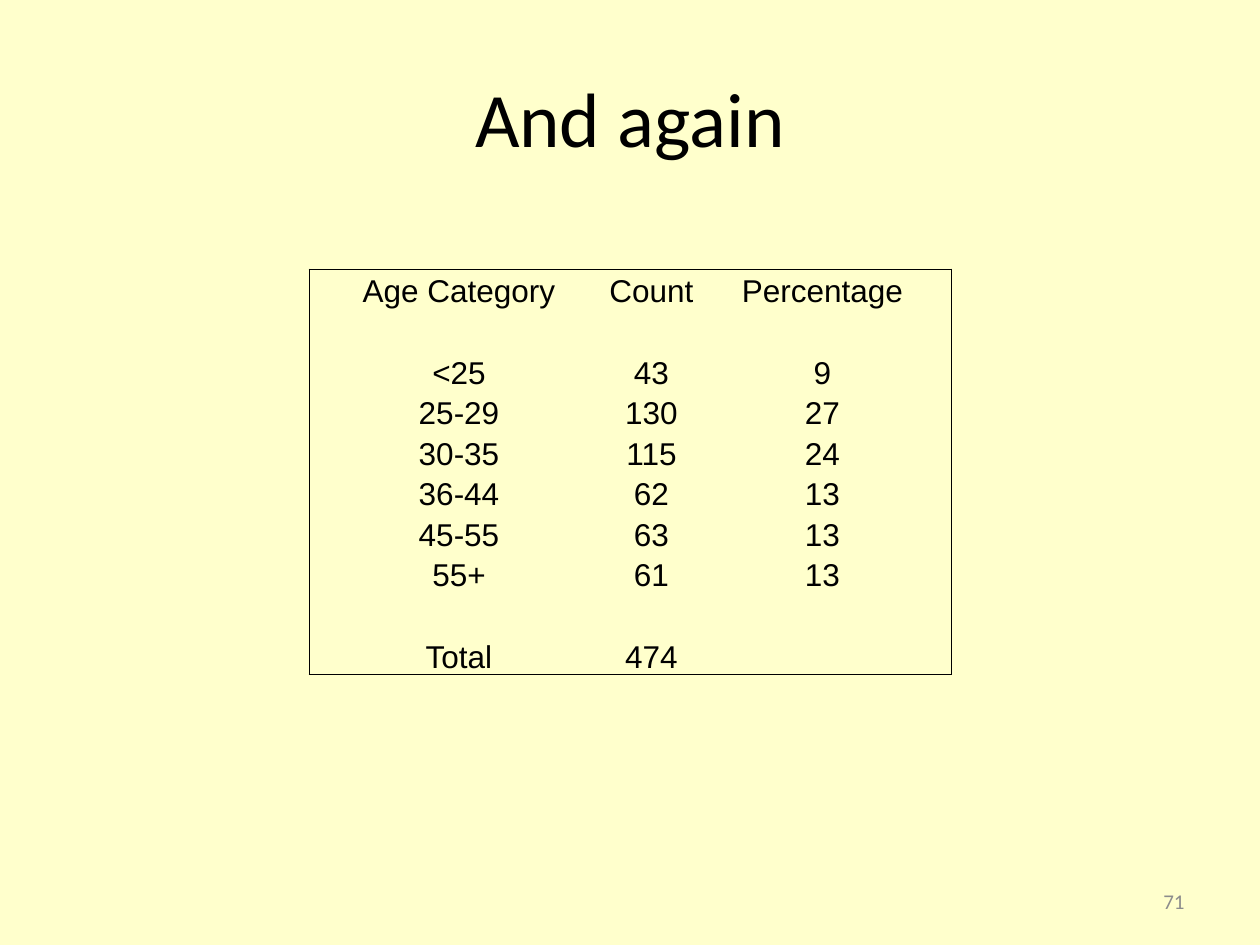
from lxml import etree
from pptx import Presentation
from pptx.dml.color import RGBColor
from pptx.enum.text import MSO_ANCHOR, PP_ALIGN
from pptx.oxml.ns import qn
from pptx.util import Pt

CENTER, RIGHT = PP_ALIGN.CENTER, PP_ALIGN.RIGHT
MIDDLE, BOTTOM = MSO_ANCHOR.MIDDLE, MSO_ANCHOR.BOTTOM
EMU_PER_PX = 914400 / 126
BORDER_WIDTH = Pt(0.5)

COLORS = {"background": "FFFFCC", "ink": "000000", "page_number": "8C8C8C"}

FORMATS = {
    "title": {"size": Pt(44), "name": "Calibri", "bold": False},
    "age": {"size": Pt(18), "name": "Arial", "bold": False},
    "page_number": {"size": Pt(12), "name": "Calibri", "bold": False},
}

AGE_ROWS = [
    ("Age Category", "Count", "Percentage"),
    ("", "", ""),
    ("<25", "43", "9"),
    ("25-29", "130", "27"),
    ("30-35", "115", "24"),
    ("36-44", "62", "13"),
    ("45-55", "63", "13"),
    ("55+", "61", "13"),
    ("", "", ""),
    ("Total", "474", ""),
]
AGE_COLUMNS = (300, 85, 257)


def px(length):
    return round(length * EMU_PER_PX)


def write(frame, text, style, color, align):
    paragraph = frame.paragraphs[0]
    paragraph.text = text
    paragraph.alignment = align
    for attribute, value in FORMATS[style].items():
        setattr(paragraph.font, attribute, value)
    paragraph.font.color.rgb = RGBColor.from_string(COLORS[color])


def set_borders(cell, visible):
    properties = cell._tc.get_or_add_tcPr()
    for index, side in enumerate("LRTB"):
        border = etree.Element(qn(f"a:ln{side}"), w=str(BORDER_WIDTH))
        if side in visible:
            fill = etree.SubElement(border, qn("a:solidFill"))
            etree.SubElement(fill, qn("a:srgbClr"), val=COLORS["ink"])
        else:
            etree.SubElement(border, qn("a:noFill"))
        properties.insert(index, border)


def place_title(slide, left, top, width, height):
    title = slide.shapes.title
    title.left, title.top = px(left), px(top)
    title.width, title.height = px(width), px(height)
    title.text_frame.vertical_anchor = MIDDLE
    write(title.text_frame, "And again", "title", "ink", CENTER)


def place_age_table(slide, left, top, width, height):
    row_count, column_count = len(AGE_ROWS), len(AGE_COLUMNS)
    ages = slide.shapes.add_table(
        row_count, column_count, px(left), px(top), px(width), px(height)
    ).table
    ages.first_row = ages.horz_banding = False
    for column, share in zip(ages.columns, AGE_COLUMNS):
        column.width = px(width * share / sum(AGE_COLUMNS))
    for r, values in enumerate(AGE_ROWS):
        ages.rows[r].height = px(height / row_count)
        for c, value in enumerate(values):
            cell = ages.cell(r, c)
            cell.margin_left = cell.margin_right = 0
            cell.margin_top = cell.margin_bottom = 0
            cell.vertical_anchor = BOTTOM
            cell.fill.background()
            write(cell.text_frame, value, "age", "ink", CENTER)
            edges = {"L": c == 0, "R": c == column_count - 1,
                     "T": r == 0, "B": r == row_count - 1}
            set_borders(cell, [side for side, outer in edges.items() if outer])


def place_page_number(slide, left, top, width, height):
    frame = slide.shapes.add_textbox(
        px(left), px(top), px(width), px(height)
    ).text_frame
    frame.word_wrap = True
    frame.vertical_anchor = MIDDLE
    write(frame, "71", "page_number", "page_number", RIGHT)


def main():
    deck = Presentation()
    deck.slide_width, deck.slide_height = px(1260), px(945)
    slide = deck.slides.add_slide(deck.slide_layouts[5])
    background = slide.background.fill
    background.solid()
    background.fore_color.rgb = RGBColor.from_string(COLORS["background"])
    place_title(slide, 63, 38, 1134, 157)
    place_age_table(slide, 309, 269, 642, 406)
    place_page_number(slide, 903, 876, 294, 50)
    deck.save("out.pptx")


if __name__ == "__main__":
    main()
